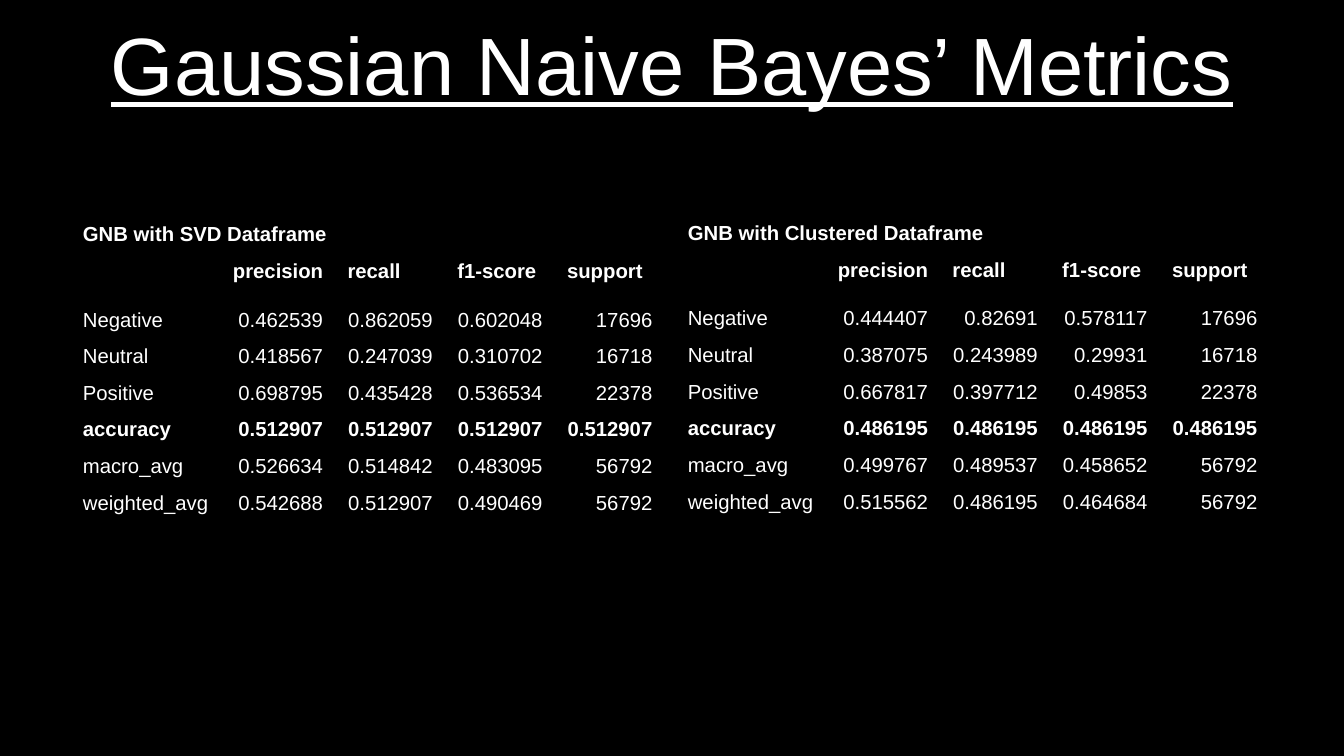
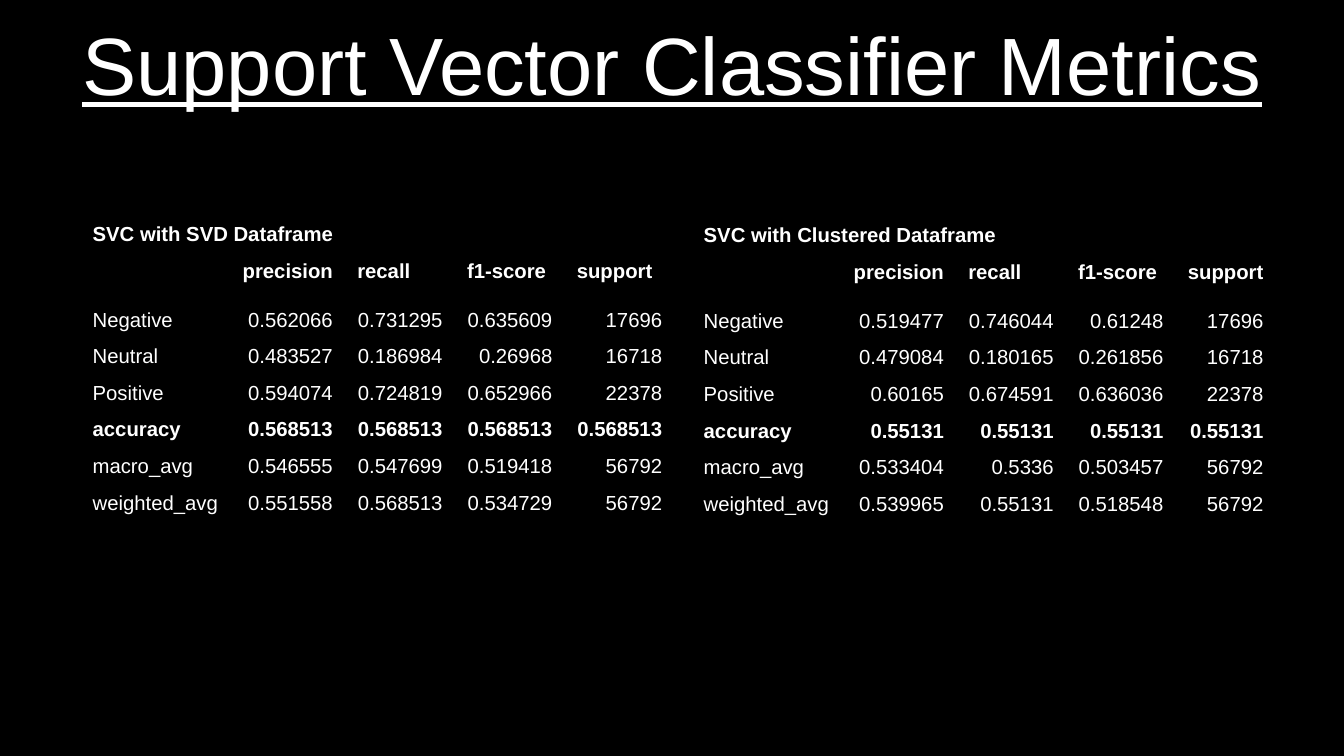
from lxml.etree import SubElement as Sub
from pptx import Presentation
from pptx.dml.color import RGBColor as Rgb
from pptx.enum.text import MSO_ANCHOR as Anchor, PP_ALIGN as Align
from pptx.oxml.ns import qn
from pptx.util import Inches, Pt

COLORS = {"back": "000000", "text": "FFFFFF"}
FONT = "Arial"

# Content: each table is (caption, left, top, last column width, scores)
HEADS = ["", "precision", "recall", "f1-score", "support"]
LABELS = ["Negative", "Neutral", "Positive", "accuracy", "macro_avg", "weighted_avg"]
COUNTS = ["17696", "16718", "22378", None, "56792", "56792"]
SLIDES = [
    ("Gaussian Naive Bayes’ Metrics", [
        ("GNB with SVD Dataframe", 0.58, 1.78, 0.9, [
            ["0.462539", "0.862059", "0.602048"],
            ["0.418567", "0.247039", "0.310702"],
            ["0.698795", "0.435428", "0.536534"],
            ["0.512907"] * 3,
            ["0.526634", "0.514842", "0.483095"],
            ["0.542688", "0.512907", "0.490469"]]),
        ("GNB with Clustered Dataframe", 5.54, 1.77, 0.9, [
            ["0.444407", "0.82691", "0.578117"],
            ["0.387075", "0.243989", "0.29931"],
            ["0.667817", "0.397712", "0.49853"],
            ["0.486195"] * 3,
            ["0.499767", "0.489537", "0.458652"],
            ["0.515562", "0.486195", "0.464684"]])]),
    ("Support Vector Classifier Metrics", [
        ("SVC with SVD Dataframe", 0.66, 1.78, 0.9, [
            ["0.562066", "0.731295", "0.635609"],
            ["0.483527", "0.186984", "0.26968"],
            ["0.594074", "0.724819", "0.652966"],
            ["0.568513"] * 3,
            ["0.546555", "0.547699", "0.519418"],
            ["0.551558", "0.568513", "0.534729"]]),
        ("SVC with Clustered Dataframe", 5.67, 1.79, 0.82, [
            ["0.519477", "0.746044", "0.61248"],
            ["0.479084", "0.180165", "0.261856"],
            ["0.60165", "0.674591", "0.636036"],
            ["0.55131"] * 3,
            ["0.533404", "0.5336", "0.503457"],
            ["0.539965", "0.55131", "0.518548"]])]),
]

# Shared measures
COLS = [1.23, 0.94, 0.9, 0.9]
ROW, HEAD_ROW = 0.29, 0.38


def paint(fill, key):
    fill.solid()
    fill.fore_color.rgb = Rgb.from_string(COLORS[key])


def write(frame, text, size, align, bold=False, underline=False):
    frame.text = text
    para = frame.paragraphs[0]
    para.alignment = align
    for run in para.runs:
        font = run.font
        font.name, font.size = FONT, Pt(size)
        font.bold, font.underline = bold, underline
        font.color.rgb = Rgb.from_string(COLORS["text"])


def add_title(slide, text):
    box = slide.shapes.add_textbox(Inches(0.55), 0, Inches(9.92), Inches(1.04))
    paint(box.fill, "back")
    frame = box.text_frame
    frame.word_wrap = True
    frame.vertical_anchor = Anchor.MIDDLE
    frame.margin_left = frame.margin_right = frame.margin_top = frame.margin_bottom = 0
    write(frame, text, 48, Align.CENTER, underline=True)


def set_borders(cell):
    props = cell._tc.get_or_add_tcPr()
    for side in ("lnL", "lnR", "lnT", "lnB"):
        line = Sub(props, qn("a:" + side), w=str(Pt(0.57)))
        Sub(Sub(line, qn("a:solidFill")), qn("a:srgbClr"), val=COLORS["back"])


def add_metrics(slide, caption, left, top, last, scores):
    # Accuracy has no count: its score fills the last column too
    body = [[label, *row, count or row[-1]]
            for label, row, count in zip(LABELS, scores, COUNTS)]
    rows = [[caption, "", "", "", ""], HEADS, *body]
    widths = COLS + [last]
    heights = [ROW, HEAD_ROW] + [ROW] * len(body)
    table = slide.shapes.add_table(
        len(rows), len(widths), Inches(left), Inches(top),
        Inches(sum(widths)), Inches(sum(heights))).table
    table.first_row = table.horz_banding = False
    for col, width in zip(table.columns, widths):
        col.width = Inches(width)
    for r, (row, height) in enumerate(zip(rows, heights)):
        table.rows[r].height = Inches(height)
        for c, text in enumerate(row):
            cell = table.cell(r, c)
            set_borders(cell)
            cell.fill.background()
            align = Align.RIGHT if r > 1 and c else Align.LEFT
            if align == Align.LEFT:
                cell.margin_right = Inches(0.05)  # keeps labels on one line
            write(cell.text_frame, text, 12, align, r < 2 or row[0] == "accuracy")
    table.cell(0, 0).merge(table.cell(0, len(widths) - 1))


def main():
    deck = Presentation()
    deck.slide_width, deck.slide_height = Inches(11.02), Inches(6.2)
    for title, tables in SLIDES:
        slide = deck.slides.add_slide(deck.slide_layouts[6])
        paint(slide.background.fill, "back")
        add_title(slide, title)
        for table in tables:
            add_metrics(slide, *table)
    deck.save("out.pptx")


if __name__ == "__main__":
    main()
